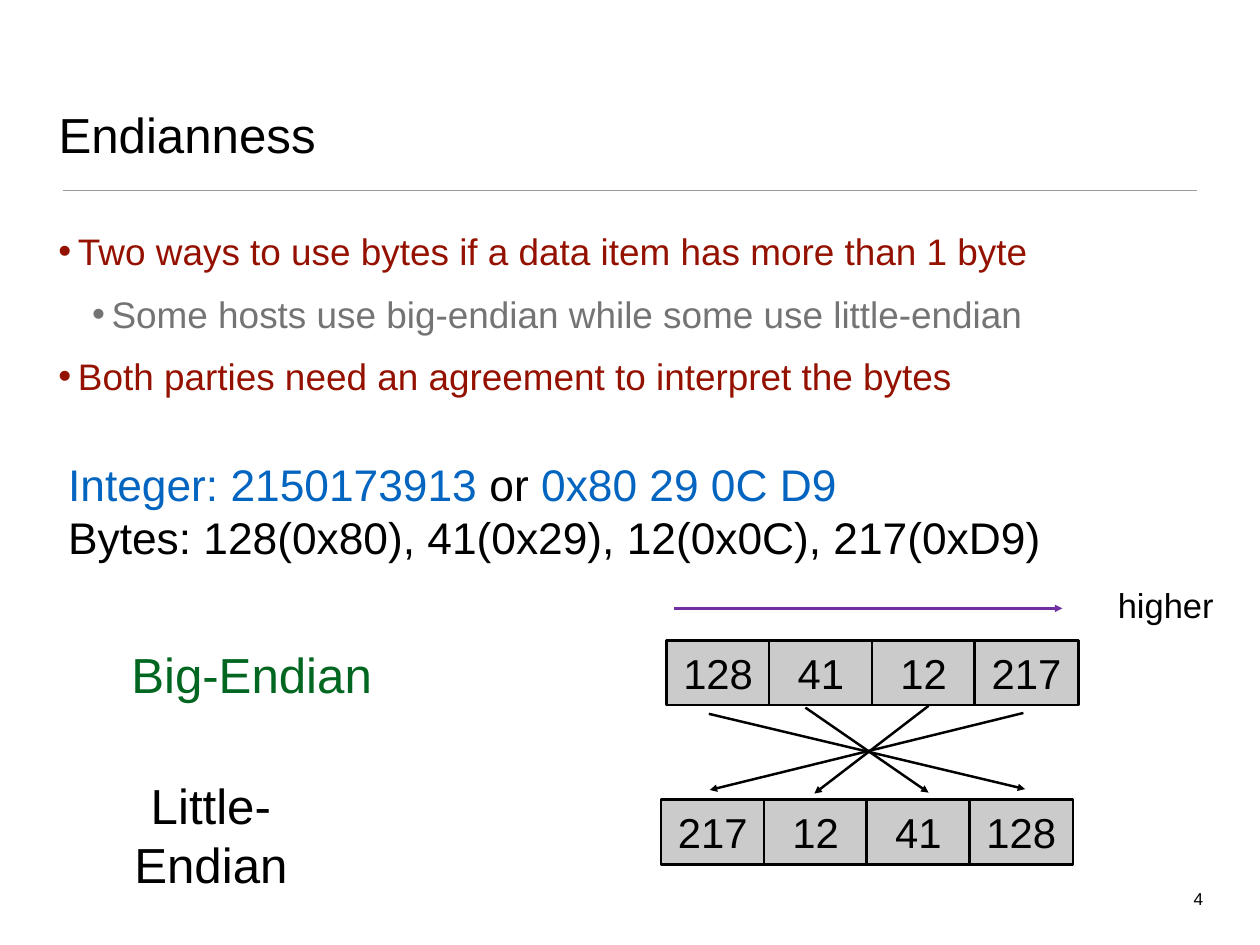
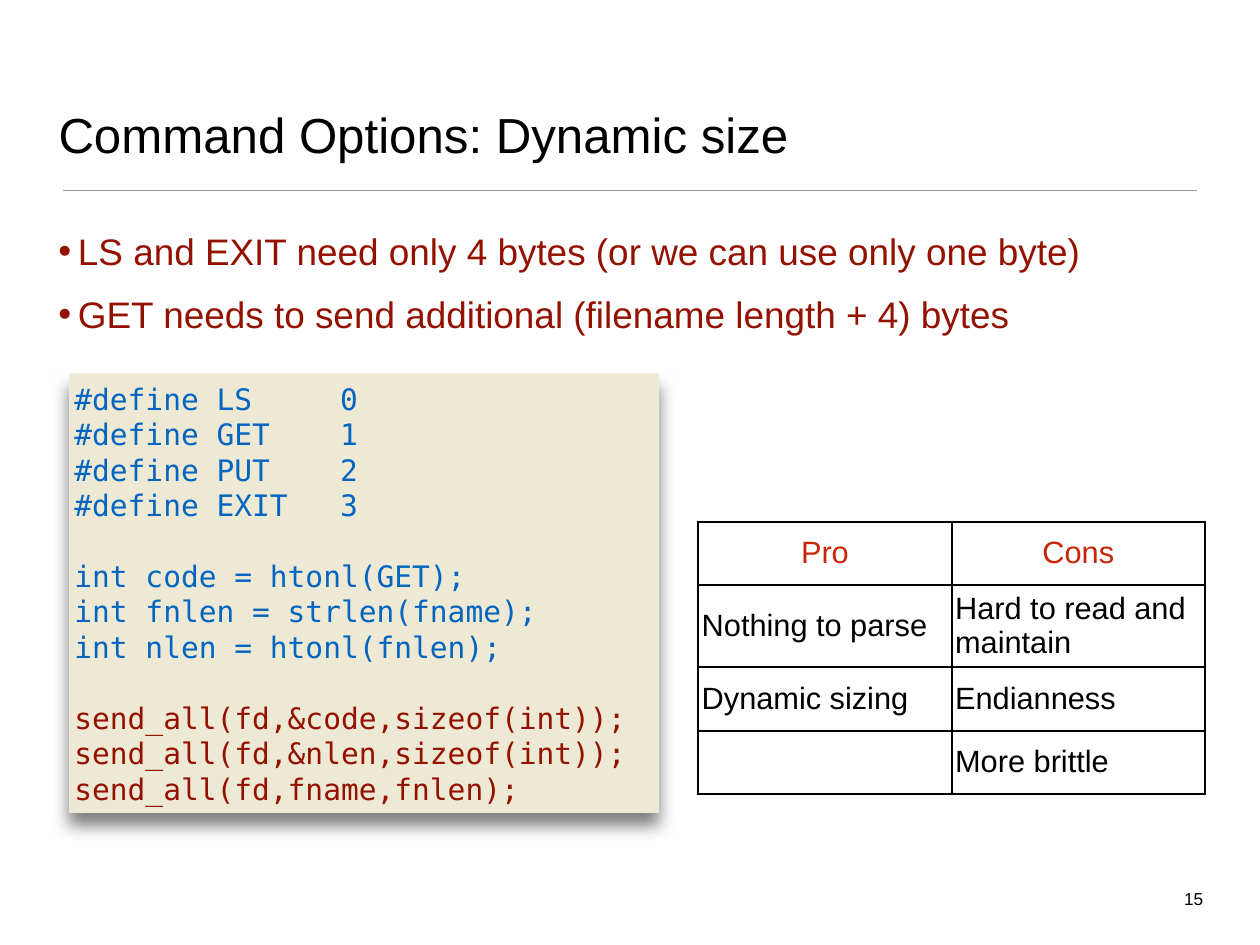
import pptx
import pptx.chart.data
import pptx.dml.color
import pptx.enum.shapes
import pptx.enum.text
import pptx.oxml
import pptx.oxml.ns
import pptx.util
from lxml import etree

Inches = pptx.util.Inches
Pt = pptx.util.Pt
RGBColor = pptx.dml.color.RGBColor
Align = pptx.enum.text.PP_ALIGN
Anchor = pptx.enum.text.MSO_ANCHOR
Shapes = pptx.enum.shapes.MSO_SHAPE

BLACK = RGBColor(0x00, 0x00, 0x00)
RULE_GRAY = RGBColor(0x9A, 0x9A, 0x9A)
TEXT_GRAY = RGBColor(0x74, 0x74, 0x74)
CELL_GRAY = RGBColor(0xCB, 0xCB, 0xCB)
DARK_RED = RGBColor(0x94, 0x11, 0x00)
HEADER_RED = RGBColor(0xC8, 0x25, 0x06)
BLUE = RGBColor(0x03, 0x65, 0xC0)
GREEN = RGBColor(0x00, 0x66, 0x20)
PURPLE = RGBColor(0x70, 0x30, 0xA0)
CREAM = RGBColor(0xEE, 0xE9, 0xD4)

CODE_FONT = "DejaVu Sans Mono"


def add_xml(parent, tag, **attributes):
    return etree.SubElement(parent, pptx.oxml.ns.qn(tag), attributes)


class Deck:
    """Holds the shared style and the slide being filled."""

    font = "Arial"
    leading = 1.2
    inset = 0.04

    def __init__(self):
        self.presentation = pptx.Presentation()
        self.presentation.slide_width = Inches(14.22)
        self.presentation.slide_height = Inches(10.67)
        self.slide = None

    def start_slide(self, title, number):
        layout = self.presentation.slide_layouts.get_by_name("Title Only")
        self.slide = self.presentation.slides.add_slide(layout)
        shape = self.slide.shapes.title
        shape.left, shape.top = Inches(0.62), Inches(0.36)
        shape.width, shape.height = Inches(12.97), Inches(1.53)
        self.frame(shape, Anchor.BOTTOM)
        self.paragraph(shape, [(title, BLACK)], 40)
        self.line((0.71, 2.15), (13.51, 2.15), RULE_GRAY, 1)
        self.text((13.31, 9.99, 0.31, 0.3), [[(str(number), BLACK)]], 14,
                  Align.RIGHT, Anchor.TOP, self.inset, wrap=False)

    def frame(self, shape, anchor, inset=inset, wrap=True):
        frame = shape.text_frame
        frame.auto_size = pptx.enum.text.MSO_AUTO_SIZE.NONE
        frame.word_wrap = wrap
        frame.vertical_anchor = anchor
        frame.margin_left = frame.margin_right = Inches(inset)
        frame.margin_top = frame.margin_bottom = Inches(inset)

    def paragraph(self, holder, runs, size, align=Align.LEFT, font=font, leading=leading):
        """Writes (text, colour) runs in the empty first paragraph or in a new one."""
        frame = holder.text_frame
        paragraph = frame.paragraphs[0]
        if paragraph.runs:
            paragraph = frame.add_paragraph()
        paragraph.alignment = align
        paragraph.line_spacing = Pt(size * leading)
        for text, color in runs:
            run = paragraph.add_run()
            run.text = text
            run.font.size = Pt(size)
            run.font.name = font
            run.font.color.rgb = color
        return paragraph

    def text(self, box, lines, size, align=Align.LEFT, anchor=Anchor.MIDDLE,
             inset=0.06, wrap=True):
        shape = self.slide.shapes.add_textbox(*map(Inches, box))
        self.frame(shape, anchor, inset, wrap)
        for runs in lines:
            self.paragraph(shape, runs, size, align)

    def bullets(self, height, items):
        """Writes (level, text, colour) items below the title rule."""
        shape = self.slide.shapes.add_textbox(
            Inches(0.62), Inches(2.54), Inches(12.97), Inches(height))
        self.frame(shape, Anchor.TOP)
        for level, text, color in items:
            paragraph = self.paragraph(shape, [(text, color)], 30)
            paragraph.level = level
            paragraph.space_before = Pt(15)
            properties = paragraph._p.get_or_add_pPr()
            properties.set("marL", str(Inches(0.22 + 0.38 * level)))
            properties.set("indent", str(Inches(-0.22)))
            add_xml(properties, "a:buFont", typeface=self.font)
            add_xml(properties, "a:buChar", char="•")

    def line(self, start, end, color, width, arrow=False):
        connector = self.slide.shapes.add_connector(
            pptx.enum.shapes.MSO_CONNECTOR.STRAIGHT, *map(Inches, start + end))
        connector.line.color.rgb = color
        connector.line.width = Pt(width)
        if arrow:
            add_xml(connector.line._get_or_add_ln(), "a:tailEnd", type="triangle")
        add_xml(connector._element.spPr, "a:effectLst")

    def rectangle(self, box, fill):
        shape = self.slide.shapes.add_shape(Shapes.RECTANGLE, *map(Inches, box))
        shape.shadow.inherit = False
        shape.fill.solid()
        shape.fill.fore_color.rgb = fill
        return shape

    def byte_row(self, left, top, values):
        for column, value in enumerate(values):
            cell = self.rectangle((left + 1.16 * column, top, 1.17, 0.73), CELL_GRAY)
            cell.line.color.rgb = BLACK
            cell.line.width = Pt(2)
            self.frame(cell, Anchor.MIDDLE)
            self.paragraph(cell, [(str(value), BLACK)], 34, Align.CENTER)

    def code(self, box, blocks):
        """Draws a shadowed panel of (colour, lines) blocks, set one line apart."""
        size = 24
        panel = self.rectangle(box, CREAM)
        panel.line.fill.background()
        effects = panel._element.spPr.find(pptx.oxml.ns.qn("a:effectLst"))
        shadow = add_xml(effects, "a:outerShdw", blurRad=str(Pt(14)), dist=str(Pt(11)),
                         dir="5400000", algn="ctr", rotWithShape="0")
        shadow_color = add_xml(shadow, "a:srgbClr", val=str(BLACK))
        add_xml(shadow_color, "a:alpha", val="50000")
        self.frame(panel, Anchor.MIDDLE, 0.06)
        for block_index, (color, lines) in enumerate(blocks):
            for line_index, line in enumerate(lines):
                paragraph = self.paragraph(panel, [(line, color)], size, font=CODE_FONT)
                if block_index and not line_index:
                    paragraph.space_before = Pt(size * self.leading)
                if "\t" in line:
                    tabs = add_xml(paragraph._p.get_or_add_pPr(), "a:tabLst")
                    add_xml(tabs, "a:tab", pos=str(Inches(3)), algn="l")

    def table(self, box, row_heights, rows):
        table = self.slide.shapes.add_table(
            len(rows), len(rows[0]), *map(Inches, box)).table
        table.first_row = table.horz_banding = False
        for row_index, values in enumerate(rows):
            table.rows[row_index].height = Inches(row_heights[row_index])
            is_header = row_index == 0
            for column_index, value in enumerate(values):
                cell = table.cell(row_index, column_index)
                self.style_cell(cell, 0.03 if is_header else self.inset)
                if value:
                    self.paragraph(cell, [(value, HEADER_RED if is_header else BLACK)], 25,
                                   Align.CENTER if is_header else Align.LEFT, leading=1.1)

    def style_cell(self, cell, inset):
        cell.vertical_anchor = Anchor.MIDDLE
        cell.margin_left = cell.margin_right = Inches(inset)
        cell.margin_top = cell.margin_bottom = Inches(inset)
        properties = cell._tc.get_or_add_tcPr()
        for side in "LRTB":
            border = add_xml(properties, "a:ln" + side, w=str(Pt(2)))
            border_fill = add_xml(border, "a:solidFill")
            add_xml(border_fill, "a:srgbClr", val=str(BLACK))
        cell.fill.background()


def add_endianness(deck):
    deck.start_slide("Endianness", 4)
    deck.bullets(2.61, [
        (0, "Two ways to use bytes if a data item has more than 1 byte", DARK_RED),
        (1, "Some hosts use big-endian while some use little-endian", TEXT_GRAY),
        (0, "Both parties need an agreement to interpret the bytes", DARK_RED),
    ])
    data = [128, 41, 12, 217]
    deck.byte_row(7.52, 7.23, data)
    deck.byte_row(7.46, 9.03, data[::-1])
    deck.text((1.41, 7.21, 2.86, 0.79), [[("Big-Endian", GREEN)]], 40,
              Align.CENTER, wrap=False)
    deck.text((1.38, 8.74, 2, 1.36), [[("Little-Endian", BLACK)]], 40, Align.CENTER)
    for start, end in [((8, 8.06), (11.57, 8.91)), ((9.09, 7.99), (10.48, 8.95)),
                       ((10.48, 7.97), (9.19, 8.96)), ((11.55, 8.05), (8.01, 8.92))]:
        deck.line(start, end, BLACK, 2, arrow=True)
    deck.text((0.71, 5.1, 11.96, 1.32), [
        [("Integer: 2150173913", BLUE), (" or ", BLACK), ("0x80 29 0C D9", BLUE)],
        [("Bytes: 128(0x80), 41(0x29), 12(0x0C), 217(0xD9)", BLACK)],
    ], 36)
    deck.line((7.61, 6.87), (11.99, 6.87), PURPLE, 2, arrow=True)
    deck.text((12.38, 6.54, 1.55, 0.58), [[("higher", BLACK)]], 28, Align.CENTER)


def add_dynamic_size(deck):
    deck.start_slide("Command Options: Dynamic size", 15)
    deck.bullets(1.6, [
        (0, "LS and EXIT need only 4 bytes (or we can use only one byte)", DARK_RED),
        (0, "GET needs to send additional (filename length + 4) bytes", DARK_RED),
    ])
    commands = ["LS", "GET", "PUT", "EXIT"]
    deck.code((0.78, 4.22, 6.66, 4.96), [
        (BLUE, [f"#define {name}\t{code}" for code, name in enumerate(commands)]),
        (BLUE, ["int code = htonl(GET);",
                "int fnlen = strlen(fname);",
                "int nlen = htonl(fnlen);"]),
        (DARK_RED, ["send_all(fd,&code,sizeof(int));",
                    "send_all(fd,&nlen,sizeof(int));",
                    "send_all(fd,fname,fnlen);"]),
    ])
    deck.table((7.88, 5.89, 5.72, 3.09), [0.72, 0.92, 0.72, 0.72], [
        ("Pro", "Cons"),
        ("Nothing to parse", "Hard to read and maintain"),
        ("Dynamic sizing", "Endianness"),
        ("", "More brittle"),
    ])


def main():
    deck = Deck()
    add_endianness(deck)
    add_dynamic_size(deck)
    deck.presentation.save("out.pptx")


if __name__ == "__main__":
    main()
